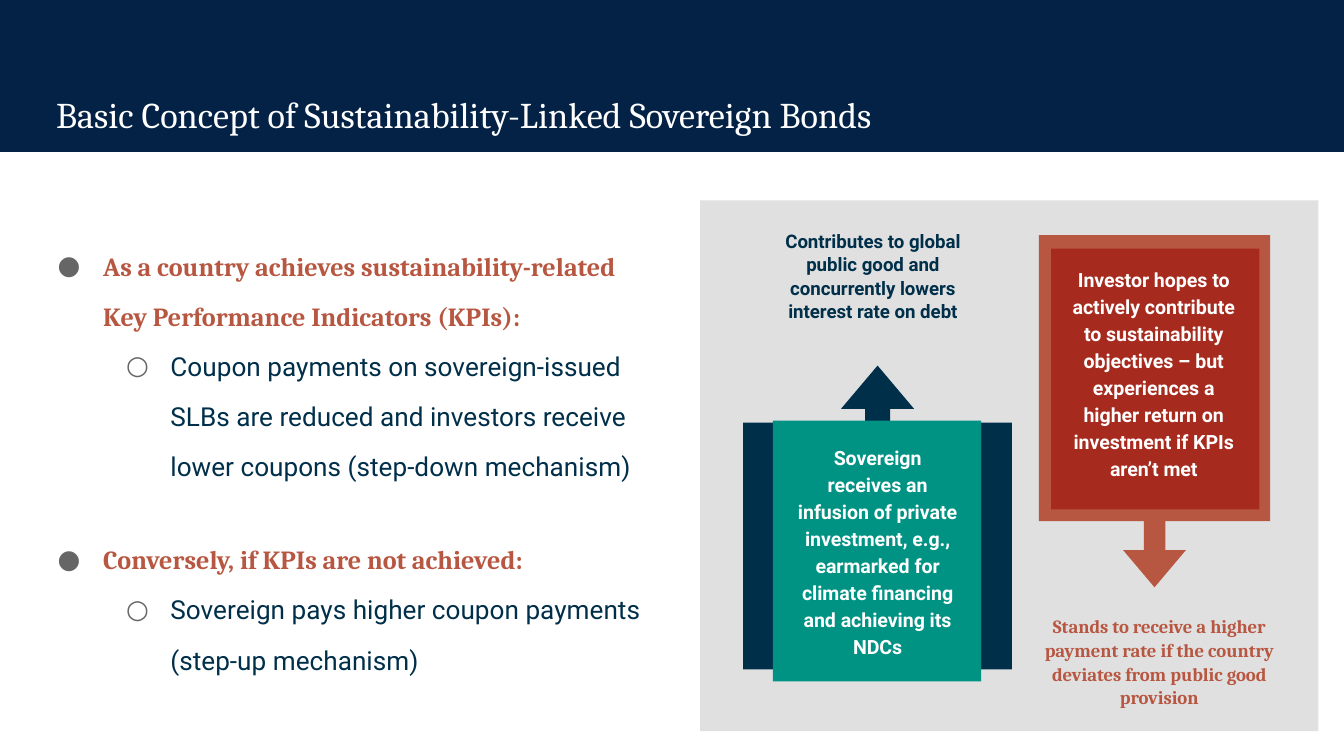
from pptx import Presentation
from pptx.dml.color import RGBColor
from pptx.enum.shapes import MSO_SHAPE
from pptx.enum.text import MSO_ANCHOR, PP_ALIGN
from pptx.oxml.ns import qn
from pptx.util import Inches, Pt
from lxml import etree

RECT = MSO_SHAPE.RECTANGLE
ARROW_CALLOUT = MSO_SHAPE.RIGHT_ARROW_CALLOUT
LEFT, CENTER = PP_ALIGN.LEFT, PP_ALIGN.CENTER
TOP = MSO_ANCHOR.TOP

NAVY = RGBColor(0x04, 0x22, 0x45)
INK = RGBColor(0x00, 0x2F, 0x4A)
RUST = RGBColor(0xB8, 0x57, 0x41)
RED = RGBColor(0xA7, 0x2A, 0x1E)
GREEN = RGBColor(0x00, 0x93, 0x84)
GRAY = RGBColor(0xE0, 0xE0, 0xE0)
WHITE = RGBColor(0xFF, 0xFF, 0xFF)
BULLET_GRAY = "666666"
SERIF, SANS = "Cambria", "Roboto"


def add_text(p, text, size=14, font=SANS, color=INK, bold=False,
             align=LEFT, spacing=1.0, before=0):
    p.alignment = align
    p.line_spacing = spacing
    p.space_before = Pt(before)
    r = p.add_run()
    r.text = text
    r.font.size = Pt(size)
    r.font.name = font
    r.font.bold = bold
    r.font.color.rgb = color


class SlideBuilder:
    """Holds the current slide and the shared text style."""
    inset = Inches(0.1)
    bullets = (("●", 0.34), ("○", 0.33))

    def __init__(self, slide):
        self.shapes = slide.shapes

    def frame(self, sp):
        tf = sp.text_frame
        tf.word_wrap = True
        tf.vertical_anchor = TOP
        tf.margin_left = tf.margin_right = self.inset
        tf.margin_top = tf.margin_bottom = self.inset
        return tf

    def shape(self, box, fill, kind=RECT):
        sp = self.shapes.add_shape(kind, *map(Inches, box))
        sp.shadow.inherit = False
        sp.fill.solid()
        sp.fill.fore_color.rgb = fill
        sp.line.fill.background()
        return sp

    def text(self, box, text, **style):
        sp = self.shapes.add_textbox(*map(Inches, box))
        add_text(self.frame(sp).paragraphs[0], text, **style)

    def callout(self, box, fill, rotation):
        sp = self.shape(box, fill, ARROW_CALLOUT)
        sp.rotation = rotation
        for i, value in enumerate((0.093, 0.136, 0.161, 0.812)):
            sp.adjustments[i] = value

    def label(self, box, fill, text):
        tf = self.frame(self.shape(box, fill))
        add_text(tf.paragraphs[0], text, size=10.5, color=WHITE, bold=True,
                 align=CENTER, spacing=1.15)

    def bullet(self, p, level):
        char, hang = self.bullets[level]
        p.level = level
        pPr = p._p.get_or_add_pPr()
        pPr.set("marL", str(Inches(0.5 * (level + 1))))
        pPr.set("indent", str(-Inches(hang)))
        color = etree.SubElement(pPr, qn("a:buClr"))
        etree.SubElement(color, qn("a:srgbClr"), val=BULLET_GRAY)
        etree.SubElement(pPr, qn("a:buFont"), typeface=SANS)
        etree.SubElement(pPr, qn("a:buChar"), char=char)

    def bullet_list(self, box, items):
        tf = self.frame(self.shapes.add_textbox(*map(Inches, box)))
        for i, (level, text) in enumerate(items):
            p = tf.paragraphs[0] if i == 0 else tf.add_paragraph()
            self.bullet(p, level)
            if level == 0:
                add_text(p, text, font=SERIF, color=RUST, bold=True,
                         spacing=1.6, before=23 if i else 0)
            else:
                add_text(p, text, spacing=1.6)


def main():
    prs = Presentation()
    # 16:9 page
    prs.slide_width = Inches(10)
    prs.slide_height = Inches(10 * 9 / 16)
    s = SlideBuilder(prs.slides.add_slide(prs.slide_layouts[6]))

    # Header band and diagram background
    s.shape((0, 0, 10.01, 1.13), NAVY)
    s.shape((5.21, 1.49, 4.6, 3.95), GRAY)
    s.text((0.32, 0.61, 9.36, 0.53),
           "Basic Concept of Sustainability-Linked Sovereign Bonds",
           size=19.4, font=SERIF, color=WHITE, spacing=0.95)

    # Key points
    s.bullet_list((0.17, 1.62, 4.83, 3.54), [
        (0, "As a country achieves sustainability-related "
            "Key Performance Indicators (KPIs):"),
        (1, "Coupon payments on sovereign-issued SLBs are reduced and "
            "investors receive lower coupons (step-down mechanism)"),
        (0, "Conversely, if KPIs are not achieved:"),
        (1, "Sovereign pays higher coupon payments (step-up mechanism)"),
    ])

    # Sovereign: arrow up
    s.callout((5.4, 2.85, 2.26, 2), INK, 270)
    s.shape((5.75, 3.13, 1.55, 1.94), GREEN)
    s.label((5.82, 3.19, 1.42, 1.76), GREEN,
            "Sovereign receives an infusion of private investment, e.g., "
            "earmarked for climate financing and achieving its NDCs")

    # Investor: arrow down
    s.callout((7.28, 2.2, 2.62, 1.72), RUST, 90)
    s.shape((7.82, 1.85, 1.55, 1.94), RED)
    s.label((7.83, 1.87, 1.51, 1.91), RED,
            "Investor hopes to actively contribute to sustainability "
            "objectives – but experiences a higher return on investment "
            "if KPIs aren’t met")

    # Outcomes at the arrow tips
    outcome = dict(size=10, bold=True, align=CENTER, spacing=1.05)
    s.text((5.58, 1.6, 1.83, 1.07),
           "Contributes to global public good and concurrently lowers "
           "interest rate on debt", **outcome)
    s.text((7.58, 4.47, 2.09, 1.07),
           "Stands to receive a higher payment rate if the country deviates "
           "from public good provision", font=SERIF, color=RUST, **outcome)

    prs.save("out.pptx")


if __name__ == "__main__":
    main()
